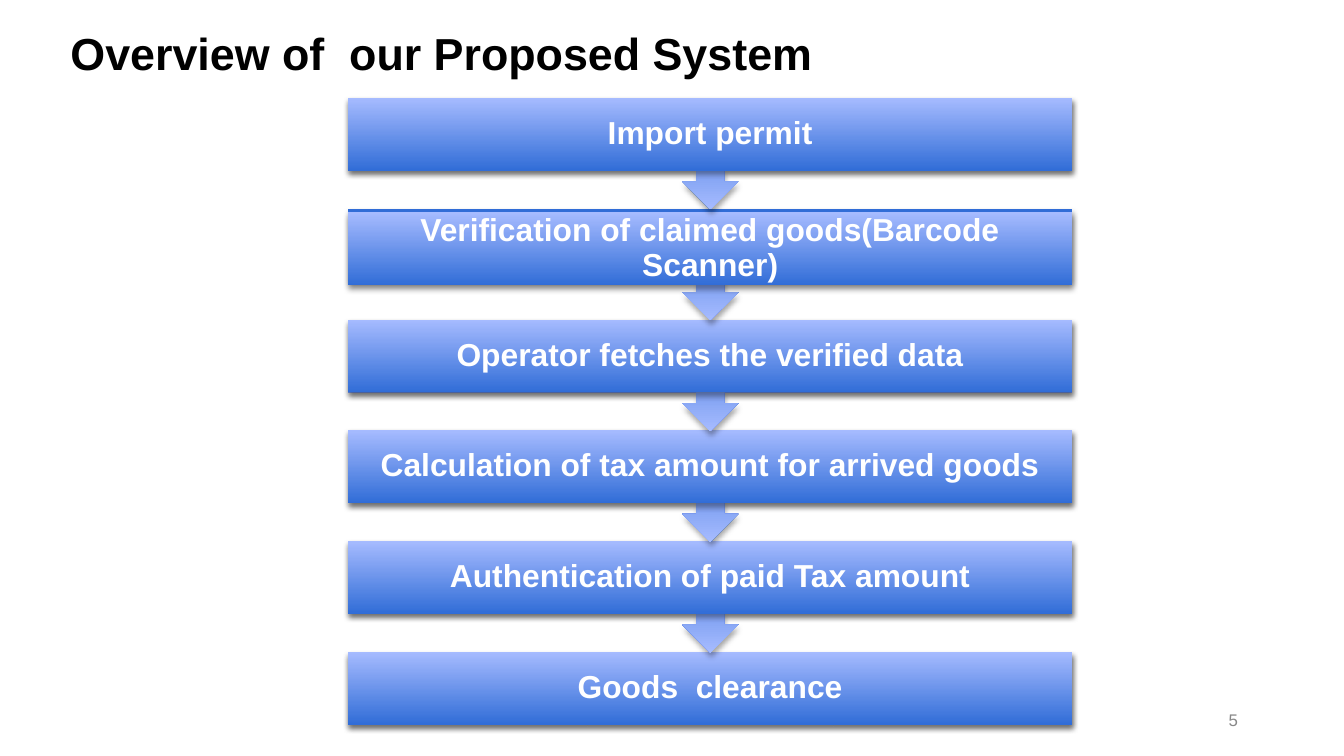
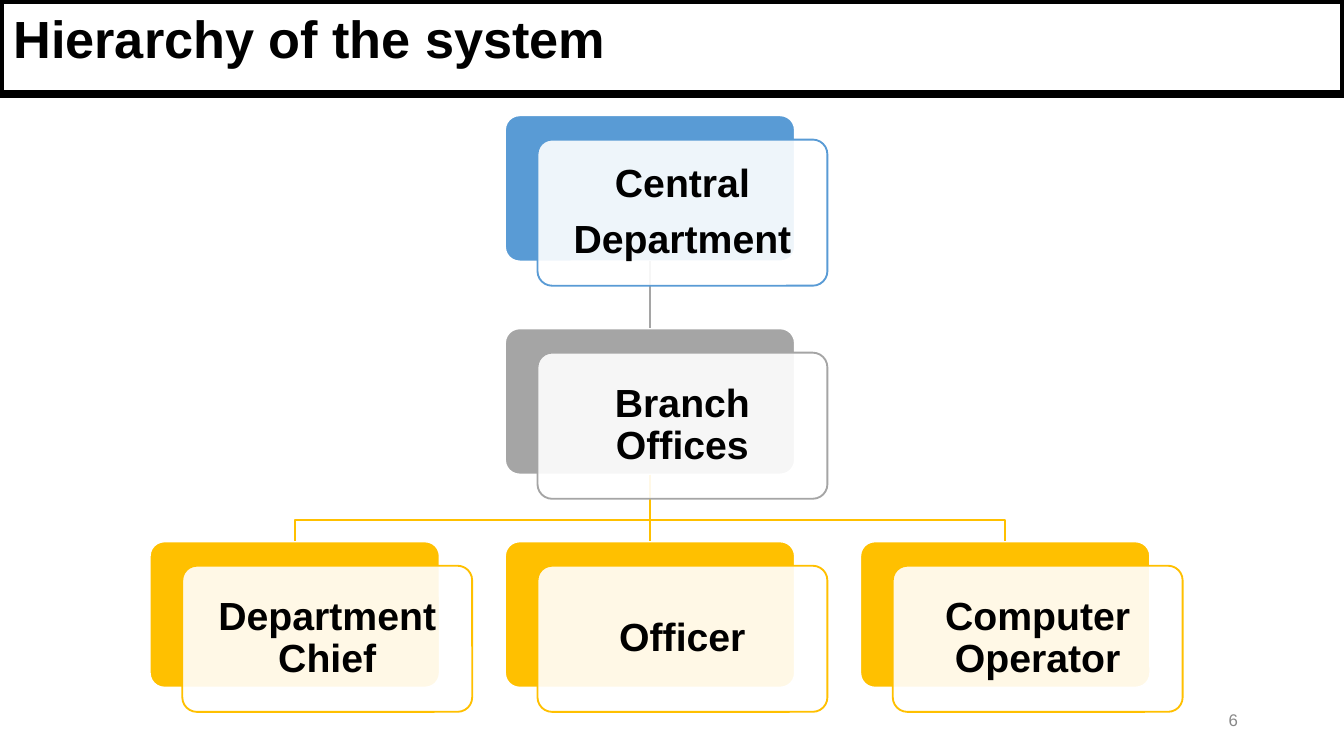
import dataclasses

import pptx
import pptx.dml.color
import pptx.enum.shapes
import pptx.enum.text
import pptx.oxml
import pptx.oxml.ns
import pptx.oxml.xmlchemy
import pptx.util

Pt = pptx.util.Pt
RGB = pptx.dml.color.RGBColor.from_string
SHAPE = pptx.enum.shapes.MSO_SHAPE
ALIGN = pptx.enum.text.PP_ALIGN
ANCHOR = pptx.enum.text.MSO_ANCHOR
qn = pptx.oxml.ns.qn
new_element = pptx.oxml.xmlchemy.OxmlElement


@dataclasses.dataclass(frozen=True)
class Theme:
    font: str = "Arial"
    black: str = "000000"
    white: str = "FFFFFF"
    page_grey: str = "888888"
    step_dark: str = "316DD7"
    step_light: str = "A6BBFF"
    blue: str = "599BD5"
    grey: str = "A5A5A5"
    gold: str = "FFC000"
    overview_size: float = 24
    banner_size: float = 28
    step_size: float = 17
    node_size: float = 21
    page_size: float = 9
    tight: float = 0.9


THEME = Theme()

OVERVIEW = {"title": "Overview of  our Proposed System", "page": "5"}
STEPS = [
    ("Import permit", 0),
    ("Verification of claimed goods(Barcode Scanner)", 2),
    ("Operator fetches the verified data", 0),
    ("Calculation of tax amount for arrived goods", 0),
    ("Authentication of paid Tax amount", 0),
    ("Goods  clearance", 0),
]
STEP_LEFT, STEP_TOP, STEP_WIDTH, STEP_HEIGHT = 186.5, 52.5, 388, 39
STEP_PITCH = 59.35

HIERARCHY = {"title": "Hierarchy of the system", "page": "6"}
NODES = {
    "central": ("Central\nDepartment", 1, 0, THEME.blue, None),
    "branch": ("Branch Offices", 1, 1, THEME.grey, "central"),
    "chief": ("Department Chief", 0, 2, THEME.gold, "branch"),
    "officer": ("Officer", 1, 2, THEME.gold, "branch"),
    "operator": ("Computer Operator", 2, 2, THEME.gold, "branch"),
}
NODE_LEFT, NODE_TOP, NODE_WIDTH, NODE_HEIGHT = 80.25, 61.8, 155.3, 78.3
COLUMN_PITCH, ROW_PITCH = 190.3, 114.15
PANEL_RIGHT, PANEL_DOWN = 17.4, 13
BEND = 0.68

SHADOW = (
    '<a:outerShdw xmlns:a="http://schemas.openxmlformats.org/drawingml/2006/main" '
    'blurRad="{blur}" dist="{dist}" dir="5400000" rotWithShape="0">'
    '<a:srgbClr val="{color}"><a:alpha val="35000"/></a:srgbClr></a:outerShdw>'
).format(blur=int(Pt(3.1)), dist=int(Pt(1.8)), color=THEME.black)


def write(shape, text, size, color, align, anchor, bold=True,
          inset=(7.2, 3.6), spacing=1.0, gap=0):
    frame = shape.text_frame
    frame.text = text
    frame.word_wrap = True
    frame.auto_size = pptx.enum.text.MSO_AUTO_SIZE.NONE
    frame.vertical_anchor = anchor
    frame.margin_left = frame.margin_right = Pt(inset[0])
    frame.margin_top = frame.margin_bottom = Pt(inset[1])
    for index, paragraph in enumerate(frame.paragraphs):
        paragraph.alignment = align
        paragraph.line_spacing = spacing
        paragraph.space_before = Pt(gap if index else 0)
        for run in paragraph.runs:
            run.font.name = THEME.font
            run.font.size = Pt(size)
            run.font.bold = bold
            run.font.color.rgb = RGB(color)


def outline(shape, color, width=1):
    shape.line.color.rgb = RGB(color)
    shape.line.width = Pt(width)


def paint(shape, color):
    shape.fill.solid()
    shape.fill.fore_color.rgb = RGB(color)


def start_slide(prs, content, box, size, align):
    slide = prs.slides.add_slide(prs.slide_layouts[5])
    title = slide.shapes.title
    title.left, title.top, title.width, title.height = map(Pt, box)
    write(title, content["title"], size, THEME.black, align, ANCHOR.TOP)
    page = slide.shapes.add_textbox(Pt(508.3), Pt(375), Pt(162), Pt(21.6))
    write(page, content["page"], THEME.page_size, THEME.page_grey,
          ALIGN.RIGHT, ANCHOR.MIDDLE, bold=False)
    return slide


def add_step_shape(slide, kind, top, height):
    shape = slide.shapes.add_shape(
        kind, Pt(STEP_LEFT), Pt(top), Pt(STEP_WIDTH), Pt(height))
    shape.fill.gradient()
    shape.fill.gradient_angle = 90
    for stop, color in zip(shape.fill.gradient_stops,
                           (THEME.step_dark, THEME.step_light)):
        stop.color.rgb = RGB(color)
    shape.line.fill.background()
    shape.shadow.inherit = False
    effects = shape.element.spPr.find(qn("a:effectLst"))
    effects.append(pptx.oxml.parse_xml(SHADOW))
    return shape


def build_overview(prs):
    slide = start_slide(prs, OVERVIEW, (6.5, 10, 460, 36),
                        THEME.overview_size, ALIGN.CENTER)
    last = len(STEPS) - 1
    for index, (label, shift) in reversed(list(enumerate(STEPS))):
        top = STEP_TOP + index * STEP_PITCH
        if index == last:
            add_step_shape(slide, SHAPE.RECTANGLE, top, STEP_HEIGHT)
        else:
            callout = add_step_shape(slide, SHAPE.UP_ARROW_CALLOUT, top, 59.7)
            callout.rotation = 180
            for number, value in enumerate((0.25, 0.25, 0.25, 0.65)):
                callout.adjustments[number] = value
        step = add_step_shape(slide, SHAPE.RECTANGLE, top + shift, STEP_HEIGHT)
        write(step, label, THEME.step_size, THEME.white, ALIGN.CENTER,
              ANCHOR.MIDDLE, inset=(9.4, 9.4), spacing=THEME.tight)


def node_origin(column, row):
    return NODE_LEFT + column * COLUMN_PITCH, NODE_TOP + row * ROW_PITCH


def add_node_shape(slide, left, top):
    shape = slide.shapes.add_shape(
        SHAPE.ROUNDED_RECTANGLE, Pt(left), Pt(top), Pt(NODE_WIDTH), Pt(NODE_HEIGHT))
    shape.adjustments[0] = 0.1
    shape.shadow.inherit = False
    return shape


def link(slide, parent, child, color):
    start_x, end_x = (card.left + card.width // 2 for card in (parent, child))
    start_y, end_y = parent.top + parent.height, child.top
    if start_x == end_x:
        branch = slide.shapes.add_connector(
            pptx.enum.shapes.MSO_CONNECTOR.STRAIGHT, start_x, start_y, end_x, end_y)
        branch.begin_connect(parent, 2)
        branch.end_connect(child, 0)
        outline(branch, color)
        branch.element.spPr.append(new_element("a:effectLst"))
    else:
        bend_y = start_y + int((end_y - start_y) * BEND)
        route = slide.shapes.build_freeform(start_x, start_y)
        route.add_line_segments(
            [(start_x, bend_y), (end_x, bend_y), (end_x, end_y)], close=False)
        branch = route.convert_to_shape()
        branch.fill.background()
        branch.shadow.inherit = False
        outline(branch, color)


def build_hierarchy(prs):
    slide = start_slide(prs, HIERARCHY, (0, 0, 720, 50.4),
                        THEME.banner_size, ALIGN.LEFT)
    paint(slide.shapes.title, THEME.white)
    outline(slide.shapes.title, THEME.black, 4.5)

    cards = {}
    for key, (label, column, row, color, parent) in NODES.items():
        cards[key] = add_node_shape(slide, *node_origin(column, row))
        paint(cards[key], color)
        outline(cards[key], THEME.white)

    for key, (label, column, row, color, parent) in NODES.items():
        if parent:
            link(slide, cards[parent], cards[key], color)

    for label, column, row, color, parent in NODES.values():
        left, top = node_origin(column, row)
        panel = add_node_shape(slide, left + PANEL_RIGHT, top + PANEL_DOWN)
        paint(panel, THEME.white)
        tint = panel.element.spPr.find(qn("a:solidFill")).find(qn("a:srgbClr"))
        alpha = new_element("a:alpha")
        alpha.set("val", "90000")
        tint.append(alpha)
        outline(panel, color)
        write(panel, label, THEME.node_size, THEME.black, ALIGN.CENTER,
              ANCHOR.MIDDLE, inset=(6.3, 6.3), spacing=THEME.tight, gap=7.3)


def main():
    prs = pptx.Presentation()
    prs.slide_width, prs.slide_height = Pt(720), Pt(405)
    build_overview(prs)
    build_hierarchy(prs)
    prs.save("out.pptx")


if __name__ == "__main__":
    main()
